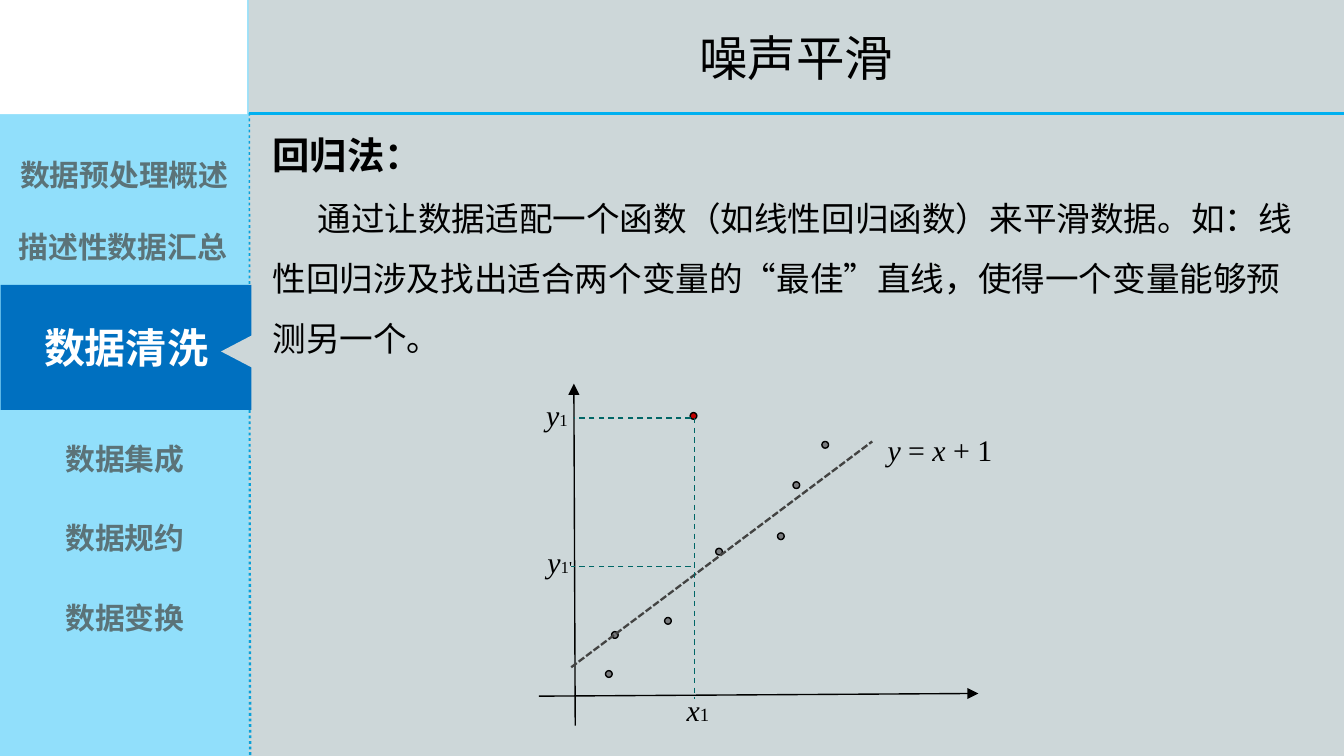
"""Build the noise smoothing slide with its navigation bar and regression plot."""
from lxml.etree import SubElement
from pptx import Presentation
from pptx.dml.color import RGBColor
from pptx.enum.dml import MSO_LINE as Dash
from pptx.enum.shapes import MSO_CONNECTOR as Connector, MSO_SHAPE as Shape
from pptx.enum.text import MSO_ANCHOR as Anchor, PP_ALIGN as Align
from pptx.oxml.ns import qn
from pptx.util import Pt

PX = 4572
WIDTH, HEIGHT = 2000, 1125
BAR_WIDTH, HEADER_HEIGHT = 370, 169

GREY = RGBColor(0xCD, 0xD7, 0xD9)
PALE_BLUE = RGBColor(0x91, 0xDF, 0xFB)
EDGE_BLUE = RGBColor(0x08, 0xA1, 0xD9)
SKY = RGBColor(0x00, 0xB0, 0xF0)
BLUE = RGBColor(0x00, 0x70, 0xC0)
SLATE = RGBColor(0x5B, 0x73, 0x78)
DOT_GREY = RGBColor(0x79, 0x7B, 0x7E)
DARK = RGBColor(0x43, 0x43, 0x42)
TEAL = RGBColor(0x00, 0x66, 0x66)
RED = RGBColor(0xC0, 0x00, 0x00)
WHITE = RGBColor(0xFF, 0xFF, 0xFF)
BLACK = RGBColor(0x00, 0x00, 0x00)

HAN = "Noto Sans CJK SC"
MATH = "Times New Roman"
NO_STYLE = "{2D5ABB26-0587-4C30-8999-92F81FD0307C}"

TITLE = "噪声平滑"
HEADING = "回归法："
BODY = ("通过让数据适配一个函数（如线性回归函数）来平滑数据。如：线性回归涉及找出适合"
        "两个变量的“最佳”直线，使得一个变量能够预测另一个。")
BODY_INDENT = 67
CURRENT_TOPIC = "数据清洗"
TOPICS = [
    ("数据预处理概述", -12, 216, 394),
    ("描述性数据汇总", -14, 324, 394),
    ("数据集成", 2, 639, 368),
    ("数据规约", 2, 757, 368),
    ("数据变换", 2, 876, 368),
]
TOPIC_HEIGHT = 82

DOT_SIZE = 10
DOTS = [(1157, 793), (1065, 816), (989, 919), (1180, 717), (1223, 657), (910, 940), (901, 998)]
OUTLIER = (1027, 614)
PLOT_LINES = [
    ((850, 993), (1298, 657), DARK, 1.25, Dash.SQUARE_DOT),
    ((1034, 622), (1034, 1040), TEAL, 0.75, Dash.DASH),
    ((1028, 622), (854, 622), TEAL, 0.75, Dash.DASH),
    ((1028, 843), (850, 843), TEAL, 0.75, Dash.DASH),
]
AXES = [((856, 1080), (854, 571)), ((802, 1036), (1456, 1032))]
LABELS = [
    ((1301, 632, 238, 74), [("y", 16, True), (" = ", 16, False), ("x", 16, True), (" + 1", 16, False)]),
    ((1002, 1020, 76, 74), [("x", 16, True), ("1", 10, False)]),
    ((795, 799, 78, 74), [("y", 16, True), ("1'", 9, False)]),
    ((793, 581, 72, 74), [("y", 16, True), ("1", 9, False)]),
]


def emu(*lengths):
    return [length * PX for length in lengths]


def add_run(paragraph, text, size, color, name=HAN, **formats):
    run = paragraph.add_run()
    run.text = text
    run.font.color.rgb = color
    for key, value in {"size": Pt(size), "name": name, **formats}.items():
        setattr(run.font, key, value)
    SubElement(run.font._element, qn("a:ea")).set("typeface", HAN)


def add_box(slide, kind, box, fill, outline=None):
    shape = slide.shapes.add_shape(kind, *emu(*box))
    shape.shadow.inherit = False
    shape.fill.solid()
    shape.fill.fore_color.rgb = fill
    if outline is None:
        shape.line.fill.background()
    else:
        shape.line.color.rgb = outline
        shape.line.width = Pt(0.75)
    return shape


def add_line(slide, start, end, color, width, dash=None, arrow=False):
    line = slide.shapes.add_connector(Connector.STRAIGHT, *emu(*start, *end))
    line.line.color.rgb = color
    line.line.width = Pt(width)
    if dash is not None:
        line.line.dash_style = dash
    if arrow:
        SubElement(line.line._get_or_add_ln(), qn("a:tailEnd")).set("type", "triangle")
    SubElement(line._element.spPr, qn("a:effectLst"))


def add_text(slide, box, wrap=True, anchor=Anchor.TOP):
    frame = slide.shapes.add_textbox(*emu(*box)).text_frame
    frame.word_wrap = wrap
    frame.vertical_anchor = anchor
    return frame


def add_topic(slide, text, left, top, width):
    table = slide.shapes.add_table(1, 1, *emu(left, top, width, TOPIC_HEIGHT)).table
    table.first_row = table.horz_banding = False
    table._tbl.tblPr.find(qn("a:tableStyleId")).text = NO_STYLE
    cell = table.cell(0, 0)
    cell.fill.background()
    paragraph = cell.text_frame.paragraphs[0]
    paragraph.alignment = Align.CENTER
    add_run(paragraph, text, 16, SLATE, bold=True)


def add_navigation(slide):
    add_line(slide, (BAR_WIDTH, 168), (372, HEIGHT), EDGE_BLUE, 1.5, Dash.ROUND_DOT)
    add_box(slide, Shape.RECTANGLE, (0, 0, BAR_WIDTH, HEIGHT), PALE_BLUE)
    add_line(slide, (BAR_WIDTH, HEADER_HEIGHT), (WIDTH, HEADER_HEIGHT), SKY, 1.5)
    current = add_box(slide, Shape.RECTANGLE, (1, 424, 373, 186), BLUE)
    current.text_frame.vertical_anchor = Anchor.MIDDLE
    paragraph = current.text_frame.paragraphs[0]
    paragraph.alignment = Align.CENTER
    add_run(paragraph, CURRENT_TOPIC, 22, WHITE, bold=True)
    add_box(slide, Shape.ISOSCELES_TRIANGLE, (328, 500, 48, 46), GREY).rotation = 270
    for topic in TOPICS:
        add_topic(slide, *topic)
    add_box(slide, Shape.RECTANGLE, (-6, -6, 374, 176), WHITE)


def add_content(slide):
    frame = add_text(slide, (386, 154, 1574, 394))
    heading, body = frame.paragraphs[0], frame.add_paragraph()
    heading.line_spacing = body.line_spacing = 1.5
    body._p.get_or_add_pPr().set("indent", str(BODY_INDENT * PX))
    add_run(heading, HEADING, 20, BLACK, bold=True)
    add_run(body, BODY, 18, BLACK, bold=False)
    title = add_text(slide, (BAR_WIDTH, 1, WIDTH - BAR_WIDTH, 168), anchor=Anchor.MIDDLE).paragraphs[0]
    title.alignment = Align.CENTER
    add_run(title, TITLE, 26, BLACK, "Arial")


def add_plot(slide):
    for start, end in AXES:
        add_line(slide, start, end, BLACK, 0.75, arrow=True)
    for dot in DOTS + [OUTLIER]:
        fill = RED if dot == OUTLIER else DOT_GREY
        add_box(slide, Shape.OVAL, (*dot, DOT_SIZE, DOT_SIZE), fill, BLACK)
    for line in PLOT_LINES:
        add_line(slide, *line)
    for box, runs in LABELS:
        paragraph = add_text(slide, box, wrap=False).paragraphs[0]
        for text, size, italic in runs:
            add_run(paragraph, text, size, BLACK, MATH, italic=italic)


def main():
    presentation = Presentation()
    presentation.slide_width, presentation.slide_height = emu(WIDTH, HEIGHT)
    slide = presentation.slides.add_slide(presentation.slide_layouts[6])
    slide.background.fill.solid()
    slide.background.fill.fore_color.rgb = GREY
    add_navigation(slide)
    add_content(slide)
    add_plot(slide)
    presentation.save("out.pptx")


if __name__ == "__main__":
    main()
